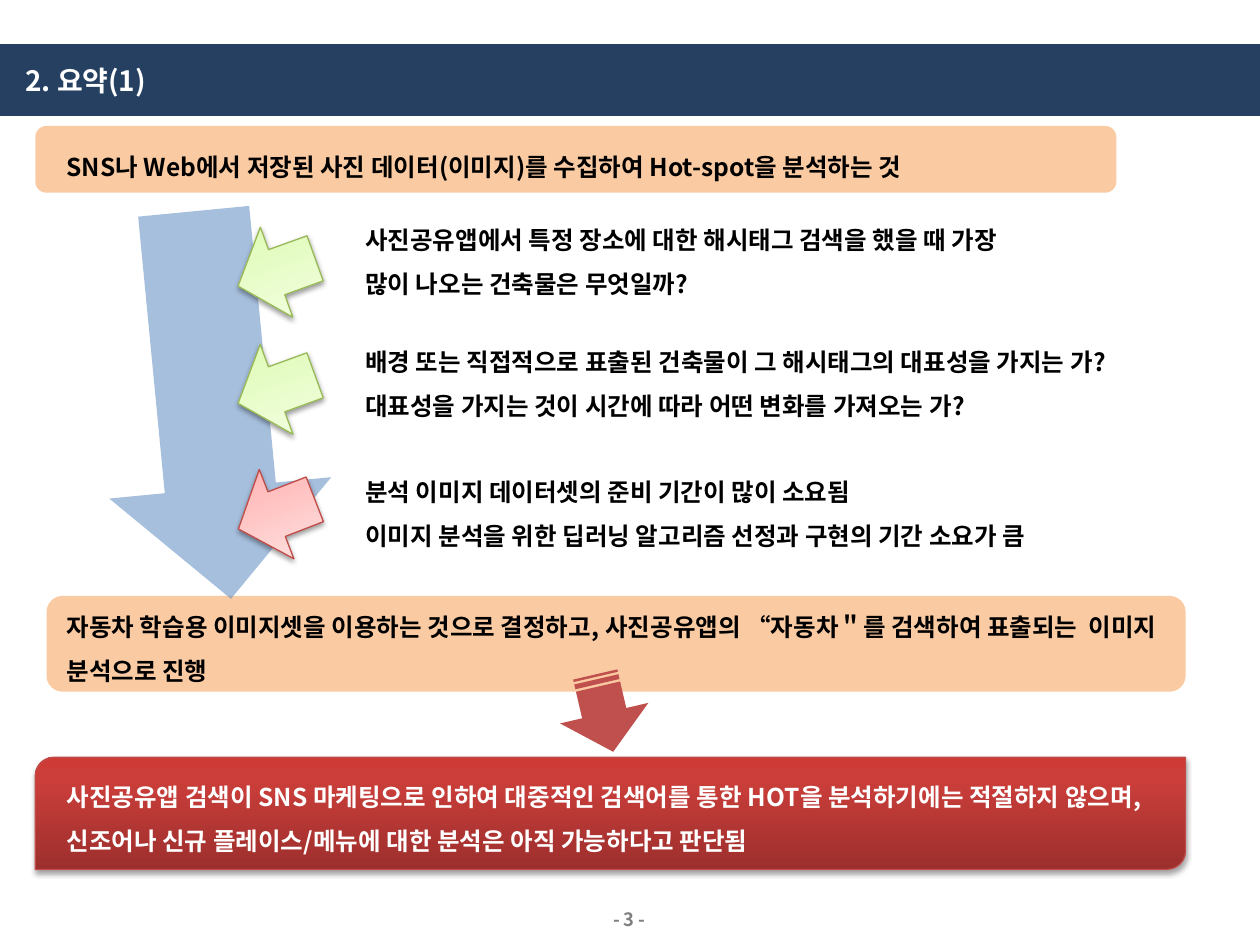
from lxml.etree import SubElement
from pptx import Presentation
from pptx.dml.color import RGBColor
from pptx.enum.shapes import MSO_SHAPE
from pptx.enum.text import MSO_ANCHOR, MSO_AUTO_SIZE, PP_ALIGN
from pptx.oxml import parse_xml
from pptx.oxml.ns import nsdecls, qn
from pptx.util import Inches, Pt

deck = Presentation()
deck.slide_width, deck.slide_height = Inches(10), Inches(7.5)
col, row = deck.slide_width / 100, deck.slide_height / 75
slide = deck.slides.add_slide(deck.slide_layouts[6])
FONT = "Noto Sans CJK KR"


def place(box):
    left, top, width, height = box
    return [round(n) for n in (left * col, top * row, width * col, height * row)]


def color(value):
    return RGBColor.from_string(value)


HEADER = (0, 3.5, 100, 5.7)
GREEN = ([(0, "DAFDA7"), (35, "E4FCC2"), (100, "F5FFE7")], "98B955", 1.6, 38)
PINK = ([(0, "FFA6A5"), (35, "FFC0BF"), (100, "FFE7E7")], "BF4C48", 1.6, 38)
RED = ([(0, "9C2F2D"), (80, "CB3E3A"), (100, "CE3B37")], "BF4C48", 1.8, 35)
POINTER = MSO_SHAPE.RIGHT_ARROW

panels = [
    (MSO_SHAPE.RECTANGLE, HEADER, 0, "254061", 100),
    (MSO_SHAPE.ROUND_2_DIAG_RECTANGLE, (2.8, 60.1, 91.3, 8.9), 0, RED, 100),
    (MSO_SHAPE.ROUNDED_RECTANGLE, (3.7, 47.3, 90.4, 7.6), 0, "F79646", 50),
    (MSO_SHAPE.ROUNDED_RECTANGLE, (2.8, 10, 85.8, 5.3), 0, "F79646", 50),
]
arrows = [
    (POINTER, (1.4, 23.3, 30.9, 17.7), 84.5, "4F81BD", 50),
    (MSO_SHAPE.STRIPED_RIGHT_ARROW, (44.8, 53, 6.3, 7.2), 76.9, "C0504D", 100),
    (POINTER, (18.7, 17.8, 6.5, 7.6), 160.2, GREEN, 100),
    (POINTER, (18.7, 27.1, 6.5, 7.6), 160, GREEN, 100),
    (POINTER, (18.7, 37, 6.5, 7.6), 158.8, PINK, 100),
]

body = {"size": 14, "color": "000000", "frame": {"auto_size": MSO_AUTO_SIZE.SHAPE_TO_FIT_TEXT},
        "paragraph": {"line_spacing": 1.5}}
conclusion = {**body, "color": "FFFFFF"}
heading = {"size": 16, "color": "FFFFFF", "paragraph": {},
           "frame": {"vertical_anchor": MSO_ANCHOR.MIDDLE, "margin_left": Inches(0.2)}}
page_number = {"size": 10.5, "color": "808080", "paragraph": {"alignment": PP_ALIGN.CENTER},
               "frame": {"vertical_anchor": MSO_ANCHOR.MIDDLE}}

passages = [
    ((38.3, 71.4, 23.3, 3.1), page_number, ["- 3 -"]),
    (HEADER, heading, ["2. 요약(1)"]),
    ((4.3, 10.4, 82.7, 4.1), body,
     ["SNS나 Web에서 저장된 사진 데이터(이미지)를 수집하여 Hot-spot을 분석하는 것"]),
    ((28, 16.2, 54.3, 7.6), body,
     ["사진공유앱에서 특정 장소에 대한 해시태그 검색을 했을 때 가장 많이 나오는 건축물은 무엇일까?"]),
    ((28, 25.9, 68.5, 7.6), body,
     ["배경 또는 직접적으로 표출된 건축물이 그 해시태그의 대표성을 가지는 가?",
      "대표성을 가지는 것이 시간에 따라 어떤 변화를 가져오는 가?"]),
    ((28, 36.2, 62.2, 7.6), body,
     ["분석 이미지 데이터셋의 준비 기간이 많이 소요됨",
      "이미지 분석을 위한 딥러닝 알고리즘 선정과 구현의 기간 소요가 큼"]),
    ((4.3, 46.9, 89.8, 7.6), body,
     ["자동차 학습용 이미지셋을 이용하는 것으로 결정하고, 사진공유앱의 “자동차＂를 검색하여 "
      "표출되는  이미지 분석으로 진행"]),
    ((4.3, 60.4, 89.8, 7.6), conclusion,
     ["사진공유앱 검색이 SNS 마케팅으로 인하여 대중적인 검색어를 통한 HOT을 분석하기에는 "
      "적절하지 않으며, 신조어나 신규 플레이스/메뉴에 대한 분석은 아직 가능하다고 판단됨"]),
]

for layer in (panels, passages, arrows):
    if layer is passages:
        for box, style, lines in passages:
            frame = slide.shapes.add_textbox(*place(box)).text_frame
            for key, value in {"word_wrap": True, **style["frame"]}.items():
                setattr(frame, key, value)
            for index, line in enumerate(lines):
                paragraph = frame.add_paragraph() if index else frame.paragraphs[0]
                for key, value in style["paragraph"].items():
                    setattr(paragraph, key, value)
                run = paragraph.add_run()
                run.text = line
                for key, value in {"name": FONT, "size": Pt(style["size"]), "bold": True}.items():
                    setattr(run.font, key, value)
                run.font.color.rgb = color(style["color"])
                SubElement(run.font._element, qn("a:ea"), typeface=FONT)
        continue
    for outline, box, turn, paint, opacity in layer:
        figure = slide.shapes.add_shape(outline, *place(box))
        figure.rotation = turn
        if isinstance(paint, str):
            figure.shadow.inherit = False
            figure.fill.solid()
            figure.fill.fore_color.rgb = color(paint)
            figure.line.fill.background()
            if opacity < 100:
                tint = figure.fill._xPr.find(qn("a:solidFill"))[0]
                SubElement(tint, qn("a:alpha"), val=str(opacity * 1000))
            continue
        stops, edge, distance, strength = paint
        figure.line.color.rgb = color(edge)
        figure.line.width = Pt(0.75)
        marks = "".join(f'<a:gs pos="{at * 1000}"><a:srgbClr val="{tone}"/></a:gs>'
                        for at, tone in stops)
        properties = figure._element.spPr
        properties.find(qn("a:prstGeom")).addnext(parse_xml(
            f'<a:gradFill {nsdecls("a")} rotWithShape="1"><a:gsLst>{marks}</a:gsLst>'
            '<a:lin ang="16200000" scaled="0"/></a:gradFill>'))
        properties.append(parse_xml(
            f'<a:effectLst {nsdecls("a")}><a:outerShdw blurRad="{Pt(3.1)}" dist="{Pt(distance)}" '
            f'dir="5400000" rotWithShape="0"><a:srgbClr val="000000">'
            f'<a:alpha val="{strength * 1000}"/></a:srgbClr></a:outerShdw></a:effectLst>'))

deck.save("out.pptx")
